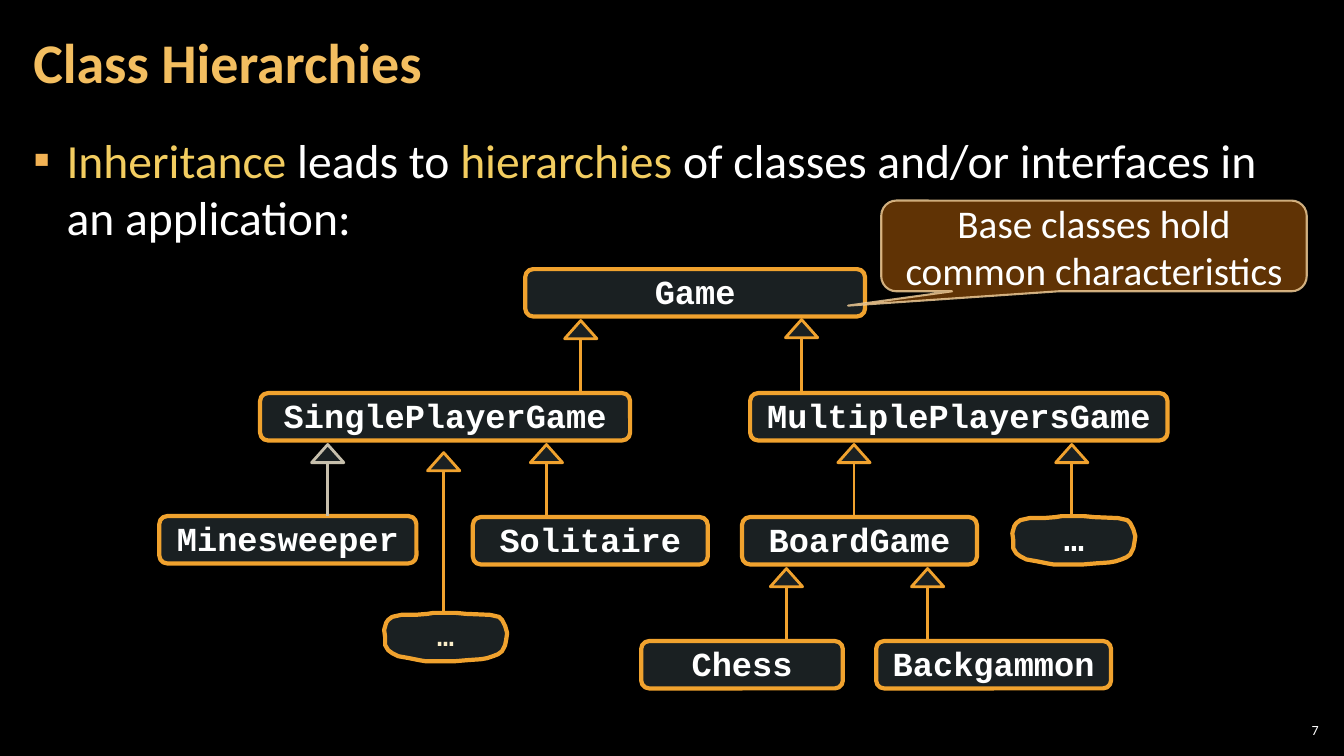
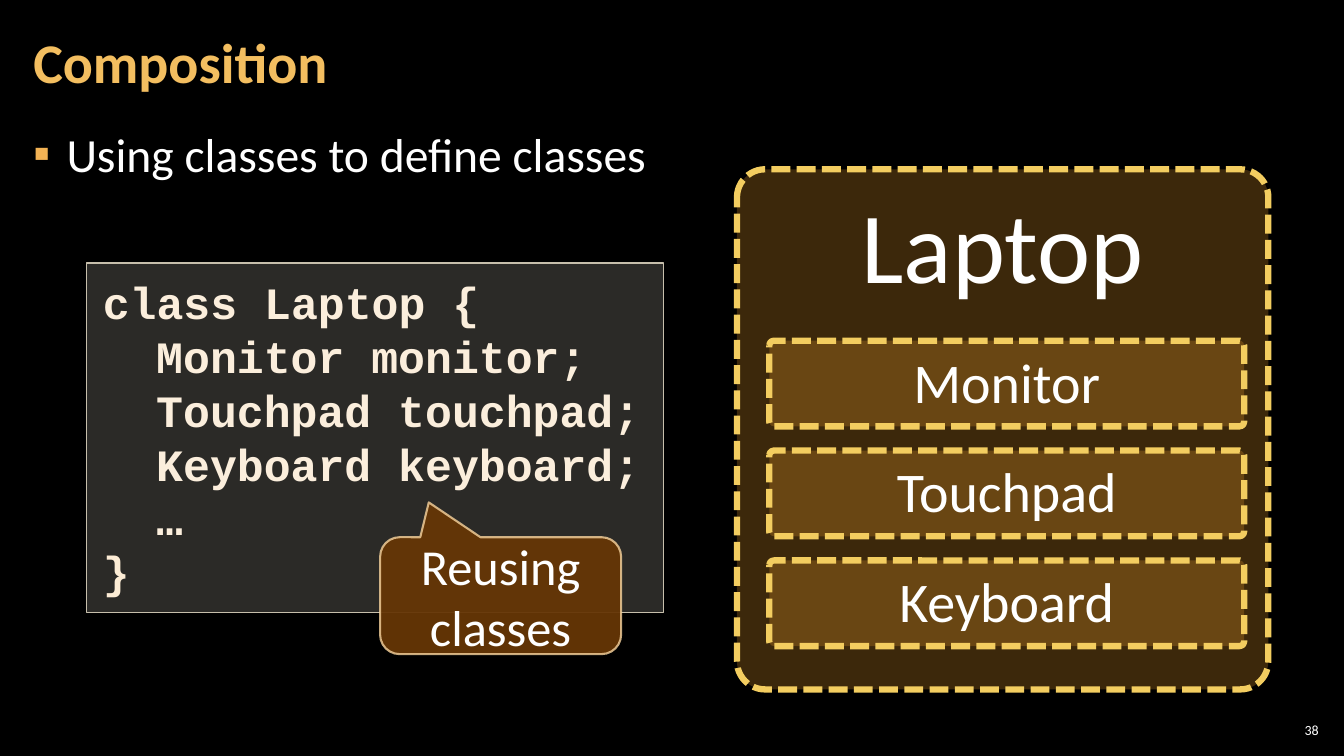
from dataclasses import dataclass
from typing import Any, Optional

from lxml.etree import SubElement
from pptx import Presentation
from pptx.dml.color import RGBColor
from pptx.enum.dml import MSO_LINE
from pptx.enum.shapes import MSO_CONNECTOR, MSO_SHAPE
from pptx.enum.text import MSO_ANCHOR, MSO_AUTO_SIZE, PP_ALIGN
from pptx.oxml.ns import qn
from pptx.util import Inches, Pt

LEFT, CENTER, RIGHT = PP_ALIGN.LEFT, PP_ALIGN.CENTER, PP_ALIGN.RIGHT
TOP, MIDDLE = MSO_ANCHOR.TOP, MSO_ANCHOR.MIDDLE
ROUND, RECT = MSO_SHAPE.ROUNDED_RECTANGLE, MSO_SHAPE.RECTANGLE
CALLOUT = MSO_SHAPE.ROUNDED_RECTANGULAR_CALLOUT
PEAK = MSO_SHAPE.ISOSCELES_TRIANGLE
STRAIGHT = MSO_CONNECTOR.STRAIGHT
DASH = MSO_LINE.SQUARE_DOT
FIXED = MSO_AUTO_SIZE.NONE

COLORS = {
    "black": "000000", "white": "FFFFFF", "title": "F3BE60",
    "bullet": "F2B254", "key": "F3CD60", "node": "B5DBE5",
    "orange": "F0A22E", "gray": "C7BFAC", "brown": "663606",
    "tan": "F8D49E", "panel": "D9D5C7", "code": "FBEEDC",
    "brace": "FCECD5", "cream": "FBEEC9",
}
SANS, MONO = "Calibri", "Courier New"
TAB = 0.53

Box = tuple[float, float, float, float]
Run = tuple[str, str]


@dataclass(frozen=True)
class Type:
    """Text format of a block."""
    size: float
    font: str = SANS
    bold: bool = False
    align: Any = CENTER
    pitch: Optional[float] = None


@dataclass(frozen=True)
class Skin:
    """Fill and outline of a shape."""
    fill: str
    clear: int
    line: str
    width: float
    fade: int = 100
    dash: Any = None


@dataclass(frozen=True)
class Node:
    """Class box of the tree."""
    name: str
    left: float
    top: float
    width: float


@dataclass(frozen=True)
class Arrow:
    """Upward arrow with an open head."""
    tip: float
    top: float
    stem: float = 0.53
    color: str = "orange"


TITLE = Type(40, bold=True, align=LEFT, pitch=0.9)
NODE = Type(24, MONO, True, pitch=0.95)
SMALL = Type(20, MONO, True, pitch=0.95)
CODE = Type(32, MONO, True, LEFT, 1.0)
PAGE = Type(10, align=RIGHT)

FRAME = Skin("node", 15, "orange", 3)
NOTE = Skin("brown", 95, "tan", 1.5, 80)
PART = Skin("orange", 25, "key", 4.5, dash=DASH)
PANEL = Skin("panel", 20, "gray", 1)

NODES = [
    Node("Game", 5.21, 2.67, 3.37),
    Node("MultiplePlayersGame", 7.44, 3.9, 4.14),
    Node("BoardGame", 7.36, 5.13, 2.33),
    Node("Chess", 6.36, 6.36, 2),
    Node("Backgammon", 8.69, 6.36, 2.33),
    Node("SinglePlayerGame", 2.58, 3.9, 3.67),
    Node("Minesweeper", 1.58, 5.12, 2.55),
    Node("Solitaire", 4.69, 5.13, 2.33),
]
ARROWS = [
    Arrow(5.76, 3.18), Arrow(7.95, 3.17),
    Arrow(3.25, 4.41, color="gray"), Arrow(5.42, 4.41),
    Arrow(8.47, 4.41), Arrow(10.63, 4.41),
    Arrow(7.8, 5.64), Arrow(9.2, 5.64), Arrow(4.4, 4.49, 1.4),
]
# Blob outline in hundredths of an inch
BLOB = [
    (0, 17), (2, 10), (4, 7), (8, 4), (17, 2), (31, 2), (43, 1), (49, 0),
    (71, 0), (81, 1), (105, 2), (114, 4), (117, 7), (120, 13), (122, 20),
    (121, 27), (120, 32), (117, 38), (113, 41), (108, 43), (102, 45),
    (96, 46), (82, 47), (70, 48), (41, 48), (35, 47), (25, 45), (14, 43),
    (8, 40), (4, 37), (1, 32), (1, 24),
]


def rgb(name: str) -> RGBColor:
    """Look up a named colour."""
    return RGBColor.from_string(COLORS[name])


def apply(target: Any, values: dict[str, Any]) -> None:
    """Set each given attribute that has a value."""
    for name, value in values.items():
        if value is not None:
            setattr(target, name, value)


def place(shape: Any, box: Box) -> None:
    """Move a shape to a box in inches."""
    apply(shape, dict(zip(("left", "top", "width", "height"),
                          map(Inches, box))))


def fit(frame: Any, anchor: Any, wrap: bool = True,
        side: float = 0.1, edge: float = 0.05) -> None:
    """Set anchor, wrap and margins of a text frame."""
    apply(frame, {
        "auto_size": FIXED, "word_wrap": wrap, "vertical_anchor": anchor,
        "margin_left": Inches(side), "margin_right": Inches(side),
        "margin_top": Inches(edge), "margin_bottom": Inches(edge),
    })


def write(para: Any, runs: list[Run], look: Type) -> None:
    """Fill a paragraph with coloured runs."""
    apply(para, {"alignment": look.align, "line_spacing": look.pitch})
    for text, color in runs:
        run = para.add_run()
        run.text = text
        apply(run.font, {"size": Pt(look.size), "name": look.font,
                         "bold": look.bold})
        run.font.color.rgb = rgb(color)


def fade(parent: Any, amount: int) -> None:
    """Give a solid fill an opacity in percent."""
    if amount < 100:
        color = parent.find(qn("a:solidFill"))[0]
        SubElement(color, qn("a:alpha"), val=str(amount * 1000))


def paint(shape: Any, skin: Skin) -> None:
    """Apply fill and outline to a shape."""
    shape.shadow.inherit = False
    shape.fill.solid()
    shape.fill.fore_color.rgb = rgb(skin.fill)
    shape.line.color.rgb = rgb(skin.line)
    apply(shape.line, {"width": Pt(skin.width), "dash_style": skin.dash})
    props = shape.element.spPr
    fade(props, skin.clear)
    fade(props.find(qn("a:ln")), skin.fade)


def draw(slide: Any, kind: Any, box: Box, skin: Skin,
         bends: tuple[float, ...] = ()) -> Any:
    """Add a painted preset shape."""
    shape = slide.shapes.add_shape(kind, *map(Inches, box))
    for spot, bend in enumerate(bends):
        shape.adjustments[spot] = bend
    paint(shape, skin)
    return shape


def label(shape: Any, text: str, look: Type, color: str = "white",
          anchor: Any = MIDDLE, wrap: bool = True) -> None:
    """Write one paragraph in a shape."""
    fit(shape.text_frame, anchor, wrap)
    write(shape.text_frame.paragraphs[0], [(text, color)], look)


def mark(para: Any) -> None:
    """Give a paragraph a square bullet."""
    props = para._p.get_or_add_pPr()
    apply(para, {"space_before": Pt(6), "space_after": Pt(6)})
    props.set("marL", str(Inches(0.33)))
    props.set("indent", str(Inches(-0.33)))
    tint = SubElement(props, qn("a:buClr"))
    SubElement(tint, qn("a:srgbClr"), val=COLORS["bullet"])
    SubElement(props, qn("a:buFont"), typeface=SANS)
    SubElement(props, qn("a:buChar"), char="▪")


def start(deck: Any, title: str, runs: list[Run], page: int,
          top: float, pitch: float) -> Any:
    """Add a slide with title, bullet and page number."""
    slide = deck.slides.add_slide(deck.slide_layouts[1])
    head, body = slide.placeholders
    place(head, (0.21, 0.04, 10.47, 1.21))
    fit(head.text_frame, MIDDLE, side=0.12, edge=0.04)
    write(head.text_frame.paragraphs[0], [(title, "title")], TITLE)
    place(body, (0.21, top, 12.91, 6.09))
    fit(body.text_frame, TOP, side=0.12, edge=0.04)
    para = body.text_frame.paragraphs[0]
    write(para, runs, Type(34, align=LEFT, pitch=pitch))
    mark(para)
    foot = slide.shapes.add_textbox(*map(Inches, (12.65, 7.14, 0.47, 0.21)))
    fit(foot.text_frame, MIDDLE, side=0.04, edge=0.04)
    write(foot.text_frame.paragraphs[0], [(str(page), "white")], PAGE)
    return slide


def point(slide: Any, arrow: Arrow) -> None:
    """Draw an arrow head and its stem."""
    wide, high = 0.32, 0.18
    draw(slide, PEAK, (arrow.tip - wide / 2, arrow.top, wide, high),
         Skin("node", 15, arrow.color, 2))
    neck = arrow.top + high
    stem = slide.shapes.add_connector(STRAIGHT, *map(
        Inches, (arrow.tip, neck, arrow.tip, neck + arrow.stem)))
    stem.line.color.rgb = rgb(arrow.color)
    stem.line.width = Pt(2)
    SubElement(stem.element.spPr, qn("a:effectLst"))


def blob(slide: Any, left: float, top: float, look: Type,
         color: str) -> None:
    """Draw a wavy box for further classes."""
    pen = slide.shapes.build_freeform(*BLOB[0], scale=Inches(0.01))
    pen.add_line_segments(BLOB[1:], close=True)
    shape = pen.convert_to_shape(Inches(left), Inches(top))
    paint(shape, FRAME)
    label(shape, "…", look, color, wrap=False)


def note(slide: Any, text: str, box: Box, tail: tuple[float, float],
         size: float) -> None:
    """Draw a callout."""
    shape = draw(slide, CALLOUT, box, NOTE, (*tail, 0.167))
    label(shape, text, Type(size))


def tree(deck: Any) -> None:
    """Build the class tree slide."""
    slide = start(deck, "Class Hierarchies", [
        ("Inheritance", "key"), (" leads to ", "white"),
        ("hierarchies", "key"),
        (" of classes and/or interfaces in an application:", "white"),
    ], 7, 1.26, 1.0)
    for node in NODES:
        box = (node.left, node.top, node.width, 0.47)
        label(draw(slide, ROUND, box, FRAME), node.name, NODE, wrap=False)
    for arrow in ARROWS:
        point(slide, arrow)
    blob(slide, 10.04, 5.12, NODE, "white")
    blob(slide, 3.81, 6.08, SMALL, "cream")
    note(slide, "Base classes hold common characteristics",
         (8.74, 1.99, 4.22, 0.9), (-0.578, 0.658), 28)


def listing(slide: Any) -> None:
    """Draw the code panel."""
    panel = draw(slide, RECT, (0.86, 2.61, 5.72, 3.47), PANEL)
    frame = panel.text_frame
    fit(frame, TOP, side=0.16, edge=0.12)
    lines = [
        ("class Laptop {", 0, "code"), ("Monitor monitor;", 1, "code"),
        ("Touchpad touchpad;", 1, "code"), ("Keyboard keyboard;", 1, "code"),
        ("…", 1, "code"), ("}", 0, "brace"),
    ]
    for row, (text, depth, color) in enumerate(lines):
        para = frame.add_paragraph() if row else frame.paragraphs[0]
        write(para, [(text, color)], CODE)
        para._p.get_or_add_pPr().set("marL", str(Inches(TAB * depth)))


def parts(deck: Any) -> None:
    """Build the slide on composition."""
    slide = start(deck, "Composition",
                  [("Using classes to define classes", "white")],
                  38, 1.17, 1.05)
    listing(slide)
    note(slide, "Reusing classes", (3.77, 5.33, 2.39, 1.16),
         (-0.298, -0.798), 36)
    boxes = [("Laptop", (7.31, 1.68, 5.27, 5.16), 72)]
    boxes += [(name, (7.63, 3.38 + 1.09 * row, 4.71, 0.85), 40)
              for row, name in enumerate(("Monitor", "Touchpad", "Keyboard"))]
    for name, box, size in boxes:
        shape = draw(slide, ROUND, box, PART, (0.054,))
        label(shape, name, Type(size), anchor=TOP)


def main() -> None:
    """Build and save the deck."""
    deck = Presentation()
    apply(deck, {"slide_width": Inches(13.33), "slide_height": Inches(7.5)})
    back = deck.slide_master.background.fill
    back.solid()
    back.fore_color.rgb = rgb("black")
    tree(deck)
    parts(deck)
    deck.save("out.pptx")


main()
